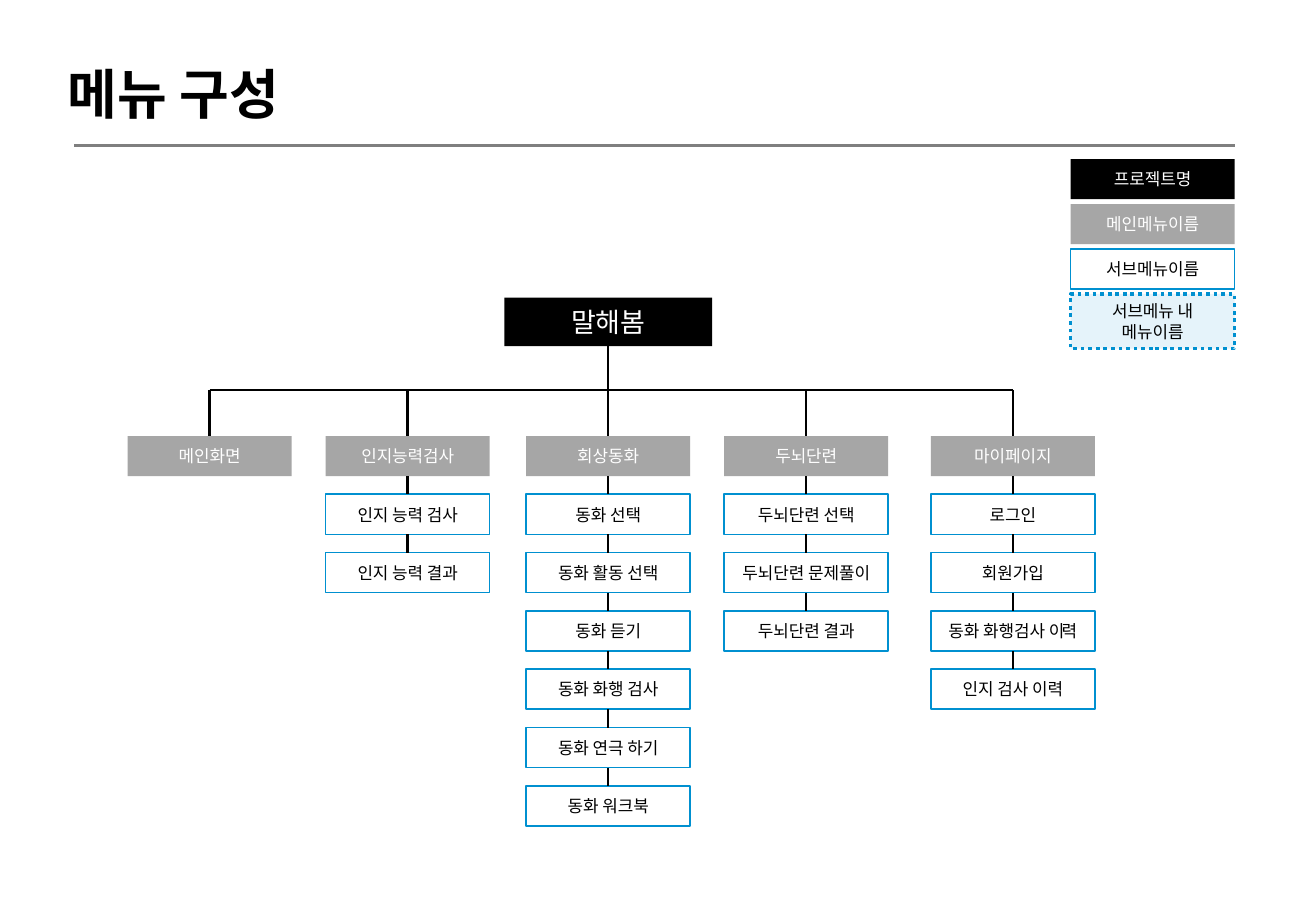
from dataclasses import dataclass

from lxml import etree
from pptx import Presentation
from pptx.dml.color import RGBColor
from pptx.enum.dml import MSO_LINE
from pptx.enum.shapes import MSO_CONNECTOR, MSO_SHAPE
from pptx.enum.text import MSO_ANCHOR, MSO_AUTO_SIZE, PP_ALIGN
from pptx.oxml.ns import qn
from pptx.util import Inches, Pt

RECT = MSO_SHAPE.RECTANGLE
STRAIGHT = MSO_CONNECTOR.STRAIGHT
DOTTED = MSO_LINE.ROUND_DOT
MIDDLE = MSO_ANCHOR.MIDDLE
CENTER = PP_ALIGN.CENTER
FIT_SHAPE = MSO_AUTO_SIZE.SHAPE_TO_FIT_TEXT
TOP, BOTTOM = 0, 2


@dataclass(frozen=True)
class Theme:
    """Colours, font and type sizes of the slide."""
    black: str = "000000"
    white: str = "FFFFFF"
    gray: str = "A6A6A6"
    rule: str = "7F7F7F"
    blue: str = "0090D0"
    font: str = "Calibri"
    title: int = 32
    project: int = 16
    label: int = 10


THEME = Theme()
PROJECT = dict(fill=THEME.black, color=THEME.white)
MAIN = dict(fill=THEME.gray, color=THEME.white)
SUB = dict(fill=THEME.white, line=THEME.blue)
INNER = dict(fill=THEME.blue, alpha=10, line=THEME.blue, weight=2.25, dash=DOTTED)

BOX_W, BOX_H = 1.35, 0.33
MENU_TOP, MENU_STEP, BUS_Y = 3.59, 0.48, 3.21
LEGEND_LEFT, LEGEND_TOP, LEGEND_STEP = 8.81, 1.31, 0.37

MENUS = [
    (1.05, "메인화면", []),
    (2.68, "인지능력검사", ["인지 능력 검사", "인지 능력 결과"]),
    (4.33, "회상동화", ["동화 선택", "동화 활동 선택", "동화 듣기",
                    "동화 화행 검사", "동화 연극 하기", "동화 워크북"]),
    (5.96, "두뇌단련", ["두뇌단련 선택", "두뇌단련 문제풀이", "두뇌단련 결과"]),
    (7.66, "마이페이지", ["로그인", "회원가입", ("동화 화행검사 ", "이력"), "인지 검사 이력"]),
]
LEGEND = [
    ("프로젝트명", BOX_H, PROJECT),
    ("메인메뉴이름", BOX_H, MAIN),
    ("서브메뉴이름", BOX_H, SUB),
    ("서브메뉴 내 메뉴이름", 0.45, INNER),
]


def rgb(value):
    """Turn a hex string into a colour."""
    return RGBColor.from_string(value)


def add_run(p, text, size=THEME.label, color=THEME.black, bold=False, spacing=0):
    """Append a formatted run to a paragraph; spacing is in points."""
    r = p.add_run()
    r.text = text
    r.font.name = THEME.font
    r.font.size = Pt(size)
    r.font.bold = bold
    r.font.color.rgb = rgb(color)
    if spacing:
        r._r.get_or_add_rPr().set("spc", str(round(spacing * 100)))


def add_box(shapes, text, x, y, w=BOX_W, h=BOX_H, fill=THEME.white, alpha=None,
            line=None, weight=1, dash=None, color=THEME.black, size=THEME.label):
    """Draw a labelled rectangle; a second part of the text is set tighter."""
    sp = shapes.add_shape(RECT, Inches(x), Inches(y), Inches(w), Inches(h))
    sp.shadow.inherit = False
    sp.fill.solid()
    sp.fill.fore_color.rgb = rgb(fill)
    if alpha is not None:
        clr = sp._element.spPr.find(qn("a:solidFill"))[0]
        etree.SubElement(clr, qn("a:alpha"), val=str(alpha * 1000))
    if line:
        sp.line.color.rgb = rgb(line)
        sp.line.width = Pt(weight)
        if dash:
            sp.line.dash_style = dash
    else:
        sp.line.fill.background()
    tf = sp.text_frame
    tf.word_wrap = True
    tf.vertical_anchor = MIDDLE
    p = tf.paragraphs[0]
    p.alignment = CENTER
    parts = (text,) if isinstance(text, str) else text
    for part, spacing in zip(parts, (0, -1.5)):
        add_run(p, part, size=size, color=color, spacing=spacing)
    return sp


def add_line(s, x1=0, y1=0, x2=0, y2=0, color=THEME.black, start=None, end=None):
    """Draw a straight line, joined to the bottom of start and the top of end."""
    c = s.shapes.add_connector(STRAIGHT, Inches(x1), Inches(y1), Inches(x2), Inches(y2))
    c.line.color.rgb = rgb(color)
    c.line.width = Pt(1.5)
    etree.SubElement(c._element.spPr, qn("a:effectLst"))
    if start is not None:
        c.begin_connect(start, BOTTOM)
    if end is not None:
        c.end_connect(end, TOP)


def add_title(s, text):
    """Write the slide title and the rule below it."""
    sp = s.shapes.add_textbox(Inches(0.46), Inches(0.45), Inches(2.1), Inches(0.64))
    tf = sp.text_frame
    tf.word_wrap = False
    tf.auto_size = FIT_SHAPE
    add_run(tf.paragraphs[0], text, size=THEME.title, bold=True)
    add_line(s, 0.61, 1.2, 10.16, 1.2, color=THEME.rule)


def add_legend(s):
    """Stack the key of box styles as one group."""
    group = s.shapes.add_group_shape()
    for i, (text, h, style) in enumerate(LEGEND):
        add_box(group.shapes, text, LEGEND_LEFT, LEGEND_TOP + i * LEGEND_STEP, h=h, **style)


def add_menu(s, x, name, items):
    """Draw a main menu with its chain of submenus and return its top box."""
    head = above = add_box(s.shapes, name, x, MENU_TOP, **MAIN)
    for i, item in enumerate(items, 1):
        below = add_box(s.shapes, item, x, MENU_TOP + i * MENU_STEP, **SUB)
        add_line(s, start=above, end=below)
        above = below
    return head


def add_tree(s):
    """Draw the project box and hang every menu from a shared bar."""
    project = add_box(s.shapes, "말해봄", 4.15, 2.45, w=1.71, h=0.4,
                      size=THEME.project, **PROJECT)
    centers = [x + BOX_W / 2 for x, _, _ in MENUS]
    add_line(s, centers[0], BUS_Y, centers[-1], BUS_Y)
    middle = len(MENUS) // 2
    for i, (center, menu) in enumerate(zip(centers, MENUS)):
        head = add_menu(s, *menu)
        add_line(s, center, BUS_Y, center, MENU_TOP,
                 start=project if i == middle else None, end=head)


def main():
    """Build the menu structure slide."""
    prs = Presentation()
    prs.slide_width, prs.slide_height = Inches(10.83), Inches(7.5)
    s = prs.slides.add_slide(prs.slide_layouts[6])
    add_title(s, "메뉴 구성")
    add_legend(s)
    add_tree(s)
    prs.save("out.pptx")


if __name__ == "__main__":
    main()
